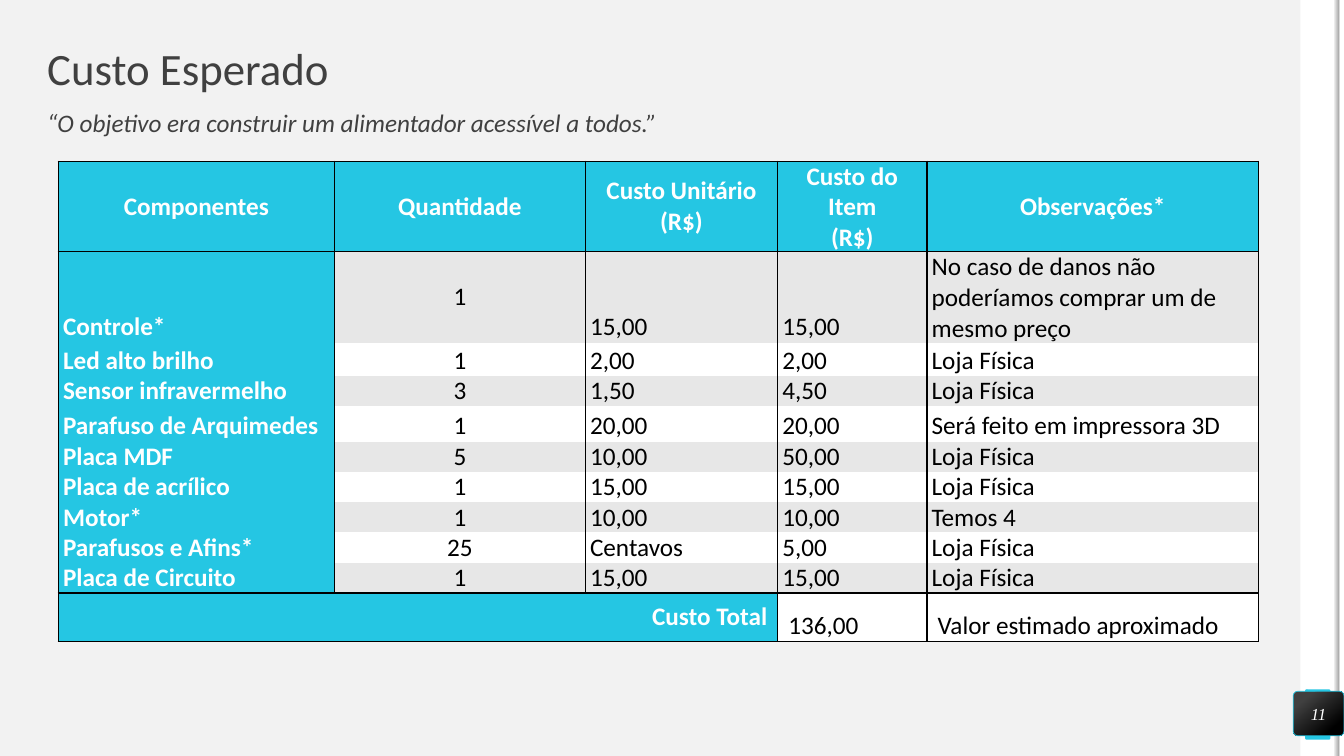
from lxml import etree
from pptx import Presentation
from pptx.dml.color import RGBColor
from pptx.enum import shapes, text
from pptx.oxml.ns import qn
from pptx.util import Cm, Pt

TITLE = "Custo Esperado"
QUOTE = "“O objetivo era construir um alimentador acessível a todos.”"
PAGE = "11"
HEADER = ["Componentes", "Quantidade", "Custo Unitário\n(R$)", "Custo do Item\n(R$)", "Observações*"]
ITEMS = [
    ("Controle*", "1", "15,00", "15,00", "No caso de danos não poderíamos comprar um de mesmo preço"),
    ("Led alto brilho", "1", "2,00", "2,00", "Loja Física"),
    ("Sensor infravermelho", "3", "1,50", "4,50", "Loja Física"),
    ("Parafuso de Arquimedes", "1", "20,00", "20,00", "Será feito em impressora 3D"),
    ("Placa MDF", "5", "10,00", "50,00", "Loja Física"),
    ("Placa de acrílico", "1", "15,00", "15,00", "Loja Física"),
    ("Motor*", "1", "10,00", "10,00", "Temos 4"),
    ("Parafusos e Afins*", "25", "Centavos", "5,00", "Loja Física"),
    ("Placa de Circuito", "1", "15,00", "15,00", "Loja Física"),
]
TOTAL = ["Custo Total", "", "", "136,00", "Valor estimado aproximado"]
COLS = [6.96, 6.32, 4.85, 3.76, 8.36]
ROWS = [2.18, 1.83, 0.84, 0.74, 0.89] + [0.74] * 5 + [1.22]
C = {"bg": "F2F2F2", "white": "FFFFFF", "black": "000000", "cyan": "25C6E3",
     "dark": "404040", "band": "E7E7E7", "shade": "A6A6A6"}
MIDDLE, BOTTOM = text.MSO_ANCHOR.MIDDLE, text.MSO_ANCHOR.BOTTOM
LEFT, CENTER, RIGHT = text.PP_ALIGN.LEFT, text.PP_ALIGN.CENTER, text.PP_ALIGN.RIGHT
RECT, ROUND = shapes.MSO_SHAPE.RECTANGLE, shapes.MSO_SHAPE.ROUNDED_RECTANGLE


def rgb(name):
    return RGBColor.from_string(C[name])


def set_fill(fill, name):
    fill.solid()
    fill.fore_color.rgb = rgb(name)


def set_gradient(fill, angle, stops):
    fill.gradient()
    fill.gradient_angle = angle
    for stop, (position, name) in zip(fill.gradient_stops, stops):
        stop.position = position
        stop.color.rgb = rgb(name)


def write(tf, value, color, align=LEFT, spacing=None, **font):
    tf.text = value
    for p in tf.paragraphs:
        p.alignment = align
        p.line_spacing = spacing
        for r in p.runs:
            r.font.color.rgb = rgb(color)
            for key, val in {"name": "Calibri", "size": Pt(18), **font}.items():
                setattr(r.font, key, val)


def clear_margins(tf):
    for side in ("left", "top", "right", "bottom"):
        setattr(tf, f"margin_{side}", 0)
    tf.word_wrap = True


def add_shape(s, kind, box, radius=None):
    sp = s.shapes.add_shape(kind, *map(Cm, box))
    sp.shadow.inherit = False
    sp.line.fill.background()
    if radius:
        sp.adjustments[0] = radius
    return sp


def add_text(s, box, value, anchor, **font):
    tf = s.shapes.add_textbox(*map(Cm, box)).text_frame
    clear_margins(tf)
    tf.vertical_anchor = anchor
    write(tf, value, "dark", spacing=0.9, **font)


def set_borders(cell, top, bottom):
    """Draw black sides; top and bottom are drawn only where asked."""
    tc_pr = cell._tc.get_or_add_tcPr()
    for i, (side, drawn) in enumerate({"L": True, "R": True, "T": top, "B": bottom}.items()):
        ln = etree.Element(qn(f"a:ln{side}"), w=str(Pt(1) if drawn else 0))
        if drawn:
            solid = etree.SubElement(ln, qn("a:solidFill"))
            etree.SubElement(solid, qn("a:srgbClr"), val=C["black"])
        else:
            etree.SubElement(ln, qn("a:noFill"))
        tc_pr.insert(i, ln)


def add_cost_table(s):
    rows = [HEADER, *ITEMS, TOTAL]
    last = len(rows) - 1
    tbl = s.shapes.add_table(len(rows), len(COLS), Cm(1.47), Cm(4.06),
                             Cm(sum(COLS)), Cm(sum(ROWS))).table
    for col, width in zip(tbl.columns, COLS):
        col.width = Cm(width)
    for row, height in zip(tbl.rows, ROWS):
        row.height = Cm(height)
    for i, row in enumerate(rows):
        for j, value in enumerate(row):
            cell = tbl.cell(i, j)
            head, total = i == 0, i == last
            label = head or j == 0 or (total and j < 3)
            cell.margin_top = cell.margin_bottom = 0
            cell.margin_left = Cm(0.27 if total and j > 2 else 0.12)
            cell.margin_right = Cm(0.26 if total and j == 0 else 0.12)
            middle = head or (i == 1 and j == 1) or (total and j == 0)
            cell.vertical_anchor = MIDDLE if middle else BOTTOM
            align = CENTER if head or j == 1 else RIGHT if total and j == 0 else LEFT
            set_fill(cell.fill, "cyan" if label else "band" if i % 2 and not total else "white")
            set_borders(cell, i in (0, 1, last), i in (0, last - 1, last))
            write(cell.text_frame, value, "white" if label else "black", align, bold=label)
    tbl.cell(last, 0).merge(tbl.cell(last, 2))


def main():
    prs = Presentation()
    prs.slide_width, prs.slide_height = Cm(33.87), Cm(19.05)
    s = prs.slides.add_slide(prs.slide_layouts[6])
    set_fill(s.background.fill, "bg")

    set_fill(add_shape(s, RECT, (32.77, 0, 0.99, 19.05)).fill, "white")
    set_fill(add_shape(s, ROUND, (32.89, 17.37, 0.64, 1.27), 0.07).fill, "cyan")
    set_fill(add_shape(s, RECT, (33.74, 0, 0.13, 19.05)).fill, "white")
    edge = add_shape(s, RECT, (33.62, 0, 0.13, 19.05))
    set_gradient(edge.fill, 0, [(0, "bg"), (1, "shade")])

    add_text(s, (1.19, 1.19, 31.47, 1.19), TITLE, MIDDLE, size=Pt(32))
    add_text(s, (1.19, 2.79, 31.5, 1), QUOTE, text.MSO_ANCHOR.TOP, italic=True)

    badge = add_shape(s, ROUND, (32.59, 17.42, 1.28, 1.12), 0.1)
    set_gradient(badge.fill, 310, [(0.2, "dark"), (0.82, "black")])
    set_fill(badge.line.fill, "cyan")
    badge.line.width = Pt(0.5)
    clear_margins(badge.text_frame)
    badge.text_frame.vertical_anchor = MIDDLE
    write(badge.text_frame, PAGE, "white", CENTER,
          name="Times New Roman", size=Pt(12), italic=True)

    add_cost_table(s)
    prs.save("out.pptx")


if __name__ == "__main__":
    main()
